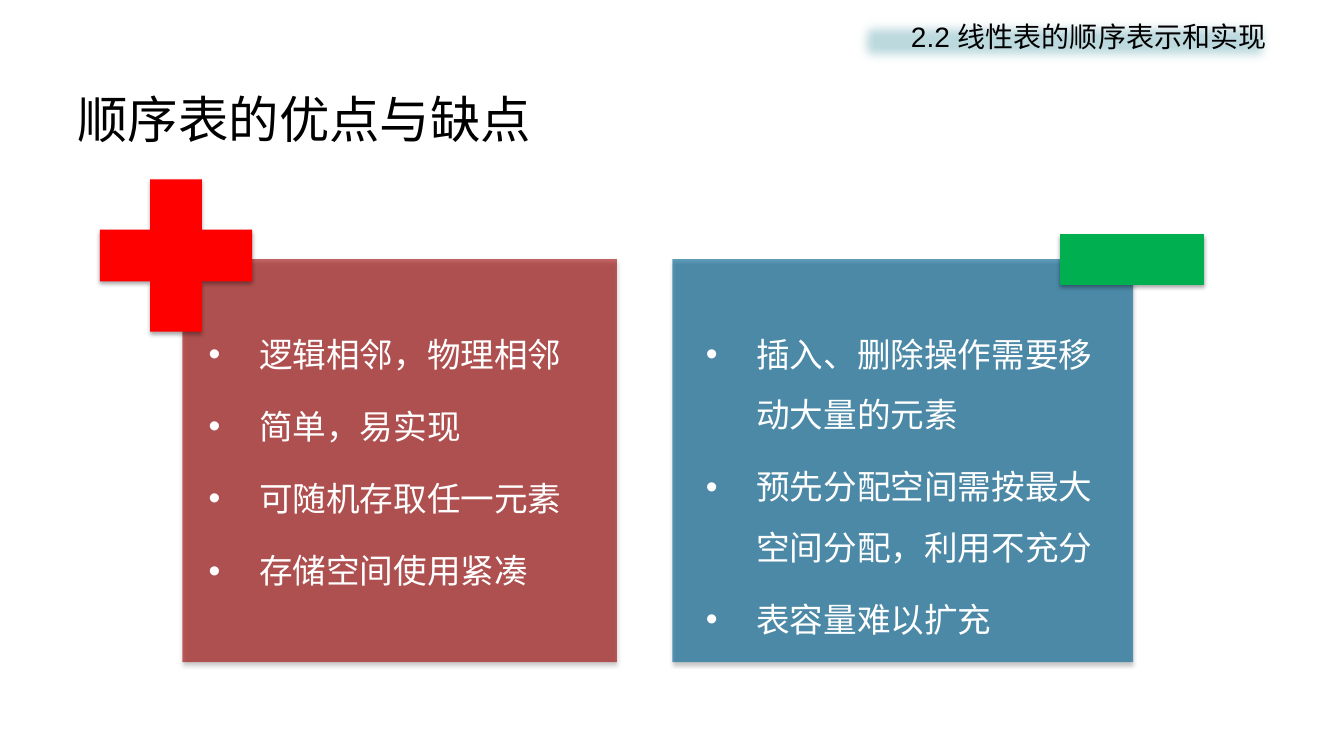
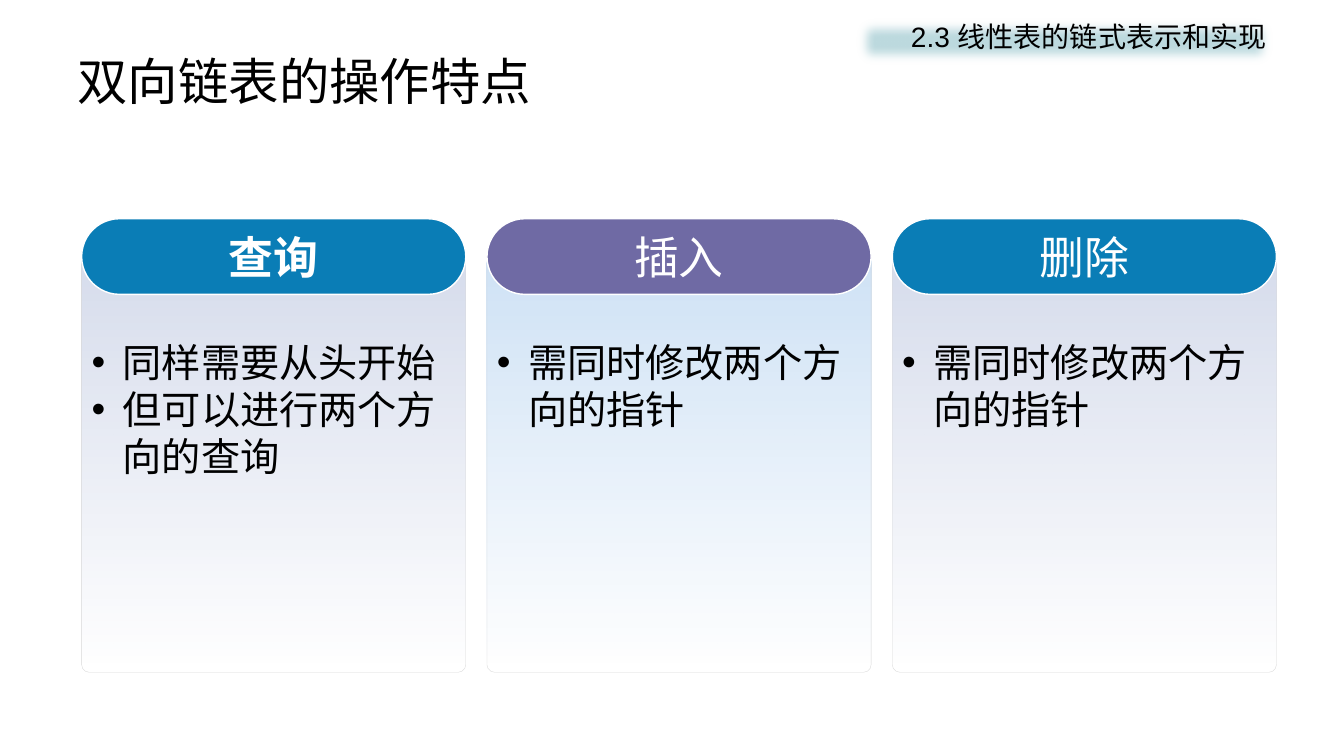
"""Two lecture slides on sequential and doubly linked lists."""
from dataclasses import dataclass
from typing import Any, Optional

from lxml.etree import SubElement
from pptx import Presentation
from pptx.dml.color import RGBColor
from pptx.enum.shapes import MSO_SHAPE
from pptx.enum.text import MSO_ANCHOR, PP_ALIGN
from pptx.oxml.ns import qn
from pptx.util import Inches, Pt

Box = tuple[float, float, float, float]


@dataclass(frozen=True)
class Theme:
    black: RGBColor = RGBColor(0x00, 0x00, 0x00)
    white: RGBColor = RGBColor(0xFF, 0xFF, 0xFF)
    band: RGBColor = RGBColor(0xBD, 0xDA, 0xDF)
    pros: RGBColor = RGBColor(0x9E, 0x00, 0x00)
    cons: RGBColor = RGBColor(0x08, 0x67, 0x96)
    plus: RGBColor = RGBColor(0xFF, 0x00, 0x00)
    minus: RGBColor = RGBColor(0x00, 0xB0, 0x50)
    blue: RGBColor = RGBColor(0x0A, 0x7D, 0xB6)
    purple: RGBColor = RGBColor(0x6F, 0x6A, 0xA4)
    indigo_tint: RGBColor = RGBColor(0x4A, 0x66, 0xAC)
    sky_tint: RGBColor = RGBColor(0x29, 0x7F, 0xD5)
    border: RGBColor = RGBColor(0xD9, 0xD9, 0xD9)
    title_font: str = "Noto Sans CJK SC"
    body_font: str = "Arial"
    title: float = 36
    section: float = 20
    panel: float = 24
    heading: float = 32
    card: float = 28


T = Theme()


@dataclass(frozen=True)
class Panel:
    box: Box
    color: RGBColor
    opacity: int
    text_box: Box
    items: tuple[str, ...]
    symbol: MSO_SHAPE
    symbol_box: Box
    symbol_color: RGBColor
    symbol_adj: Optional[float] = None
    symbol_line: Optional[float] = None


@dataclass(frozen=True)
class Card:
    heading: str
    items: tuple[str, ...]
    color: RGBColor
    tint: RGBColor
    bold: bool = False


PANELS = (
    Panel((1.81, 2.57, 4.31, 4), T.pros, 60, (2.01, 3.05, 3.67, 3.42),
          ("逻辑相邻，物理相邻", "简单，易实现", "可随机存取任一元素", "存储空间使用紧凑"),
          MSO_SHAPE.CROSS, (0.99, 1.78, 1.51, 1.51), T.plus, symbol_adj=0.33),
    Panel((6.67, 2.57, 4.57, 4), T.cons, 64, (6.94, 3.05, 4.02, 3.42),
          ("插入、删除操作需要移动大量的元素", "预先分配空间需按最大空间分配，利用不充分",
           "表容量难以扩充"),
          MSO_SHAPE.RECTANGLE, (10.52, 2.33, 1.42, 0.49), T.minus, symbol_line=0.75),
)

CARDS = (
    Card("查询", ("同样需要从头开始", "但可以进行两个方向的查询"), T.blue, T.indigo_tint, True),
    Card("插入", ("需同时修改两个方向的指针",), T.purple, T.sky_tint),
    Card("删除", ("需同时修改两个方向的指针",), T.blue, T.indigo_tint),
)
CARD_LEFT, CARD_WIDTH, CARD_GAP = 0.81, 3.81, 0.21


def set_all(obj: Any, fmt: dict[str, Any]) -> None:
    """Set each named attribute of an object."""
    for name, value in fmt.items():
        setattr(obj, name, value)


def add_shape(s: Any, kind: MSO_SHAPE, box: Box, color: Optional[RGBColor] = None,
              line: Optional[RGBColor] = None, line_pt: float = 1,
              adj: Optional[float] = None) -> Any:
    """Add a flat preset shape."""
    sp = s.shapes.add_shape(kind, *map(Inches, box))
    sp.shadow.inherit = False
    if color is not None:
        sp.fill.solid()
        sp.fill.fore_color.rgb = color
    if line is None:
        sp.line.fill.background()
    else:
        sp.line.color.rgb = line
        sp.line.width = Pt(line_pt)
    if adj is not None:
        sp.adjustments[0] = adj
    return sp


def add_alpha(color: Any, percent: int) -> None:
    """Give a colour element an opacity."""
    SubElement(color, qn("a:alpha"), val=str(percent * 1000))


def add_effect(sp: Any, kind: str, **attrs: int) -> Any:
    """Add an effect to a shape's effect list."""
    effects = sp.element.spPr.find(qn("a:effectLst"))
    return SubElement(effects, qn(f"a:{kind}"), {k: str(int(v)) for k, v in attrs.items()})


def add_shadow(sp: Any) -> None:
    """Add the soft drop shadow."""
    shadow = add_effect(sp, "outerShdw", blurRad=Pt(3.1), dist=Pt(1.8),
                        dir=5400000, rotWithShape=0)
    add_alpha(SubElement(shadow, qn("a:srgbClr"), val=str(T.black)), 35)


def write(sp: Any, lines: tuple[str, ...], size: float, color: RGBColor,
          font: str = T.body_font, bold: bool = False, indent: float = 0,
          frame: Optional[dict[str, Any]] = None,
          para: Optional[dict[str, Any]] = None) -> None:
    """Write paragraphs, bulleted when an indent is given."""
    tf = sp.text_frame
    set_all(tf, {"word_wrap": True, "vertical_anchor": MSO_ANCHOR.TOP, **(frame or {})})
    for i, line in enumerate(lines):
        p = tf.add_paragraph() if i else tf.paragraphs[0]
        set_all(p, {"alignment": PP_ALIGN.LEFT, **(para or {})})
        if indent:
            pPr = p._p.get_or_add_pPr()
            pPr.set("marL", str(Inches(indent)))
            pPr.set("indent", str(-Inches(indent)))
            SubElement(pPr, qn("a:buFont"), typeface=T.body_font)
            SubElement(pPr, qn("a:buChar"), char="•")
        r = p.add_run()
        r.text = line
        set_all(r.font, {"name": font, "size": Pt(size), "bold": bold})
        r.font.color.rgb = color
        SubElement(r._r.get_or_add_rPr(), qn("a:ea"), typeface=font)


def add_text(s: Any, box: Box, lines: tuple[str, ...], size: float,
             color: RGBColor, **options: Any) -> None:
    """Add a text box with written paragraphs."""
    write(s.shapes.add_textbox(*map(Inches, box)), lines, size, color, **options)


def add_slide(prs: Any, title: str, title_top: float, section: str) -> Any:
    """Add a slide with its title and section band."""
    s = prs.slides.add_slide(prs.slide_layouts[6])
    add_text(s, (0.67, title_top, 12, 0.75), (title,), T.title, T.black,
             font=T.title_font, frame={"vertical_anchor": MSO_ANCHOR.MIDDLE})
    band = add_shape(s, MSO_SHAPE.RECTANGLE, (8.46, 0.14, 4.2, 0.54), T.band)
    add_effect(band, "softEdge", rad=Inches(0.12))
    write(band, (section,), T.section, T.black, para={"alignment": PP_ALIGN.RIGHT})
    return s


def add_panel(s: Any, panel: Panel) -> None:
    """Add a translucent panel with its list and symbol."""
    sp = add_shape(s, MSO_SHAPE.RECTANGLE, panel.box, panel.color)
    add_alpha(sp.element.spPr.find(".//" + qn("a:srgbClr")), panel.opacity)
    add_shadow(sp)
    margins = {f"margin_{side}": Inches(0.06) for side in ("left", "top", "right", "bottom")}
    add_text(s, panel.text_box, panel.items, T.panel, T.white, indent=0.5, frame=margins,
             para={"line_spacing": 1.5, "space_after": Pt(0.35 * T.panel)})
    line = panel.symbol_color if panel.symbol_line else None
    symbol = add_shape(s, panel.symbol, panel.symbol_box, panel.symbol_color, line,
                       panel.symbol_line or 0, panel.symbol_adj)
    add_shadow(symbol)


def add_card(s: Any, card: Card, left: float) -> None:
    """Add a fading card with a pill heading and a list."""
    sp = add_shape(s, MSO_SHAPE.ROUNDED_RECTANGLE, (left, 2.54, CARD_WIDTH, 4.13),
                   line=T.border, line_pt=0.25, adj=0.02)
    sp.fill.gradient()
    sp.fill.gradient_angle = 270
    for stop, position in zip(sp.fill.gradient_stops, (0, 1)):
        stop.position = position
        stop.color.rgb = card.tint
    colors = sp.element.spPr.find(qn("a:gradFill")).iter(qn("a:srgbClr"))
    for color, opacity in zip(list(colors), (23, 0)):
        add_alpha(color, opacity)
    pill = add_shape(s, MSO_SHAPE.ROUNDED_RECTANGLE, (left, 2.17, CARD_WIDTH, 0.75),
                     card.color, T.white, adj=0.5)
    write(pill, (card.heading,), T.heading, T.white, bold=card.bold,
          frame={"vertical_anchor": MSO_ANCHOR.MIDDLE, "word_wrap": False},
          para={"alignment": PP_ALIGN.CENTER})
    add_text(s, (left, 3.31, CARD_WIDTH, 3.37), card.items, T.card, T.black, indent=0.31)


def main() -> None:
    """Build and save the presentation."""
    prs = Presentation()
    set_all(prs, {"slide_width": Inches(13.33), "slide_height": Inches(7.5)})
    s = add_slide(prs, "顺序表的优点与缺点", 0.8, "2.2 线性表的顺序表示和实现")
    for panel in PANELS:
        add_panel(s, panel)
    s = add_slide(prs, "双向链表的操作特点", 0.42, "2.3 线性表的链式表示和实现")
    for i, card in enumerate(CARDS):
        add_card(s, card, CARD_LEFT + i * (CARD_WIDTH + CARD_GAP))
    prs.save("out.pptx")


if __name__ == "__main__":
    main()
